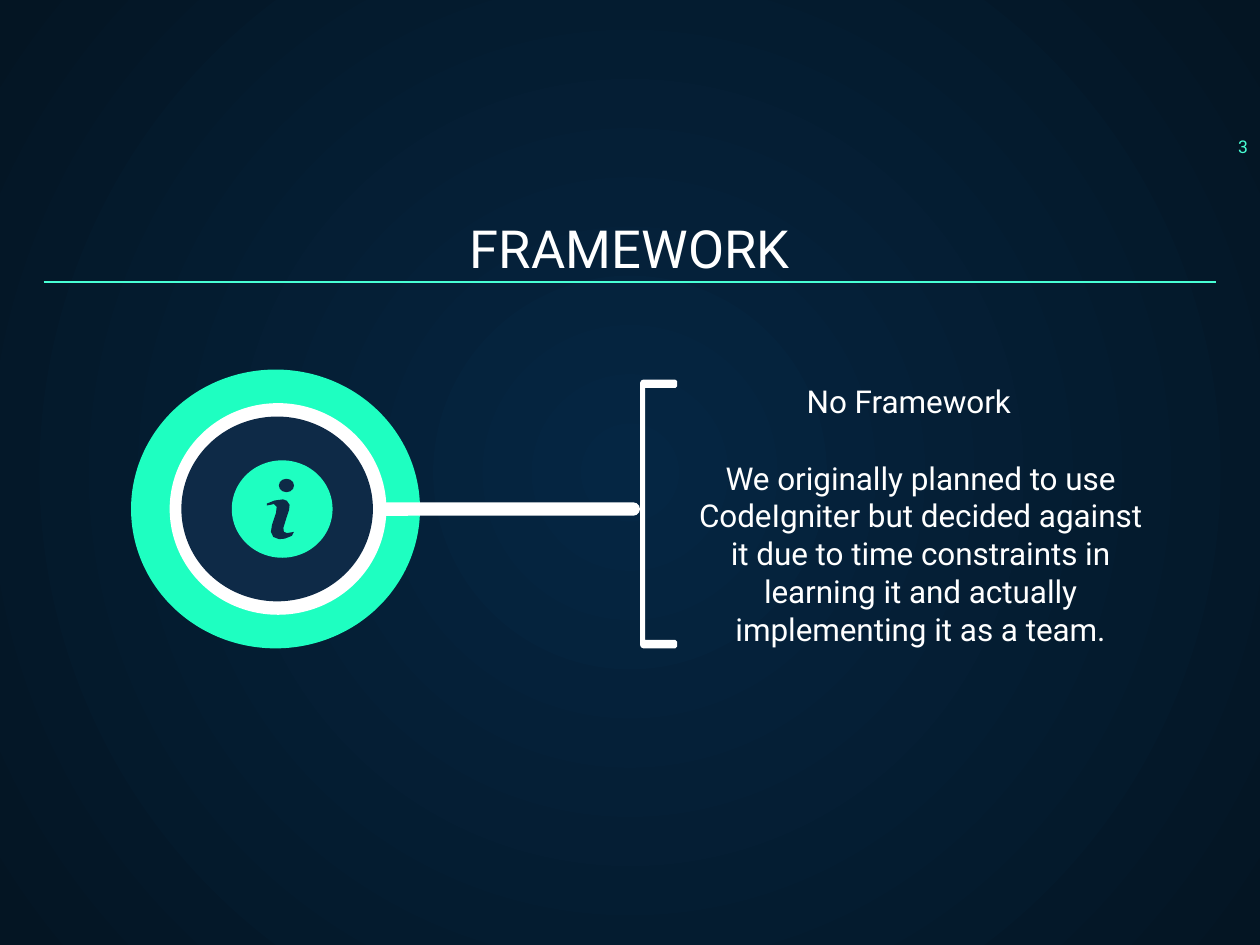
from dataclasses import dataclass

import pptx
import pptx.dml.color
import pptx.enum.dml
import pptx.enum.shapes
import pptx.enum.text
import pptx.oxml
import pptx.oxml.ns
import pptx.util
from pptx.util import Inches

RGBColor = pptx.dml.color.RGBColor
SHAPE = pptx.enum.shapes.MSO_SHAPE
ALIGN = pptx.enum.text.PP_ALIGN
ANCHOR = pptx.enum.text.MSO_ANCHOR

WHITE = RGBColor(0xFF, 0xFF, 0xFF)
MINT = RGBColor(0x1E, 0xFF, 0xC1)
AQUA = RGBColor(0x48, 0xFF, 0xD5)
NAVY = RGBColor(0x0E, 0x2A, 0x47)
GLOW = RGBColor(0x05, 0x26, 0x43)
NIGHT = RGBColor(0x04, 0x15, 0x23)
FONT = "Roboto"


@dataclass
class Label:
    text: str
    box: tuple[float, float, float, float]
    size: float
    color: RGBColor = WHITE
    align: ALIGN = ALIGN.CENTER
    anchor: ANCHOR = ANCHOR.TOP


@dataclass
class Solid:
    kind: SHAPE
    box: tuple[float, float, float, float]
    color: RGBColor


TITLE = Label("FRAMEWORK", (0.26, 1.23, 6.98, 0.5), 22.5, anchor=ANCHOR.BOTTOM)
BODY = Label("We originally planned to use CodeIgniter but decided against it due to "
             "time constraints in learning it and actually implementing it as a team.",
             (4.08, 2.66, 2.8, 0.66), 13.5)
HEADING = Label("No Framework", (4.13, 2.26, 2.56, 0.31), 13.5, anchor=ANCHOR.BOTTOM)
NUMBER = Label("3", (6.53, 0.74, 0.97, 0.5), 7.5, AQUA, ALIGN.RIGHT)

# Badge with its connecting bar, from back to front
BADGE = [
    Solid(SHAPE.OVAL, (0.78, 2.2, 1.72, 1.66), MINT),
    Solid(SHAPE.ROUNDED_RECTANGLE, (2.25, 2.99, 1.56, 0.08), WHITE),
    Solid(SHAPE.OVAL, (1.01, 2.4, 1.29, 1.26), WHITE),
    Solid(SHAPE.OVAL, (1.08, 2.48, 1.14, 1.1), NAVY),
    Solid(SHAPE.OVAL, (1.38, 2.74, 0.6, 0.58), MINT),
    Solid(SHAPE.OVAL, (1.66, 2.85, 0.09, 0.08), NAVY),
]

# Outlines in thousandths of an inch
LETTER_STEM = [(1589, 2998), (1635, 2980), (1685, 2973), (1708, 2982), (1724, 3006),
               (1721, 3035), (1708, 3074), (1687, 3143), (1690, 3166), (1708, 3174),
               (1750, 3167), (1738, 3190), (1696, 3207), (1661, 3210), (1627, 3197),
               (1613, 3167), (1619, 3125), (1643, 3054), (1647, 3018), (1631, 3001),
               (1589, 3010)]
BRACKET_TOP, BRACKET_BOTTOM = 2260, 3860
BRACKET_ARM = [(3810, 2280), (3816, 2266), (3830, 2260), (4020, 2260), (4030, 2270),
               (4030, 2300), (4020, 2310), (3840, 2310)]
BRACKET = BRACKET_ARM + [(x, BRACKET_TOP + BRACKET_BOTTOM - y)
                         for x, y in reversed(BRACKET_ARM)]


def paint(sp: pptx.shapes.autoshape.Shape, color: RGBColor) -> None:
    sp.fill.solid()
    sp.fill.fore_color.rgb = color
    sp.line.fill.background()
    sp.shadow.inherit = False


def add_solid(s: pptx.slide.Slide, solid: Solid) -> None:
    sp = s.shapes.add_shape(solid.kind, *map(Inches, solid.box))
    if solid.kind == SHAPE.ROUNDED_RECTANGLE:
        sp.adjustments[0] = 0.5
    paint(sp, solid.color)


def add_outline(s: pptx.slide.Slide, points: list[tuple[int, int]], color: RGBColor) -> None:
    builder = s.shapes.build_freeform(*points[0], scale=Inches(1) / 1000)
    builder.add_line_segments(points[1:], close=True)
    paint(builder.convert_to_shape(), color)


def write_label(sp: pptx.shapes.autoshape.Shape, label: Label) -> None:
    sp.left, sp.top, sp.width, sp.height = map(Inches, label.box)
    tf = sp.text_frame
    tf.word_wrap = True
    tf.auto_size = pptx.enum.text.MSO_AUTO_SIZE.NONE
    tf.vertical_anchor = label.anchor
    tf.margin_left = tf.margin_right = tf.margin_top = tf.margin_bottom = Inches(0.07)
    p = tf.paragraphs[0]
    p.text = label.text
    p.alignment = label.align
    p.space_before = pptx.util.Pt(0)
    p.line_spacing = 1.0
    p.font.name = FONT
    p.font.size = pptx.util.Pt(label.size)
    p.font.color.rgb = label.color


def set_background(s: pptx.slide.Slide) -> None:
    fill = s.background.fill
    fill.gradient()
    for stop, position, color in zip(fill.gradient_stops, (0, 1), (GLOW, NIGHT)):
        stop.position = position
        stop.color.rgb = color
    # Radial gradient from the slide centre
    linear = next(s.element.iter(pptx.oxml.ns.qn("a:lin")))
    radial = pptx.oxml.parse_xml(
        f'<a:path {pptx.oxml.ns.nsdecls("a")} path="circle">'
        '<a:fillToRect l="50000" t="50000" r="50000" b="50000"/></a:path>')
    linear.getparent().replace(linear, radial)


def add_rule(s: pptx.slide.Slide) -> None:
    line = s.shapes.add_connector(pptx.enum.shapes.MSO_CONNECTOR.STRAIGHT,
                                  Inches(0.26), Inches(1.68), Inches(7.24), Inches(1.68))
    line.line.color.rgb = AQUA
    line.line.width = pptx.util.Pt(0.75)
    line.element.spPr.append(
        pptx.oxml.parse_xml(f'<a:effectLst {pptx.oxml.ns.nsdecls("a")}/>'))


def main() -> None:
    prs = pptx.Presentation()
    # 4:3 slide
    prs.slide_width = Inches(7.5)
    prs.slide_height = prs.slide_width * 3 // 4
    s = prs.slides.add_slide(prs.slide_layouts[0])
    set_background(s)

    # Title, text and page number
    write_label(s.shapes.title, TITLE)
    write_label(s.placeholders[1], BODY)
    for label in (HEADING, NUMBER):
        write_label(s.shapes.add_textbox(*map(Inches, label.box)), label)
    add_rule(s)

    # Information badge and bracket
    add_outline(s, BRACKET, WHITE)
    for solid in BADGE:
        add_solid(s, solid)
    add_outline(s, LETTER_STEM, NAVY)

    prs.save("out.pptx")


if __name__ == "__main__":
    main()
